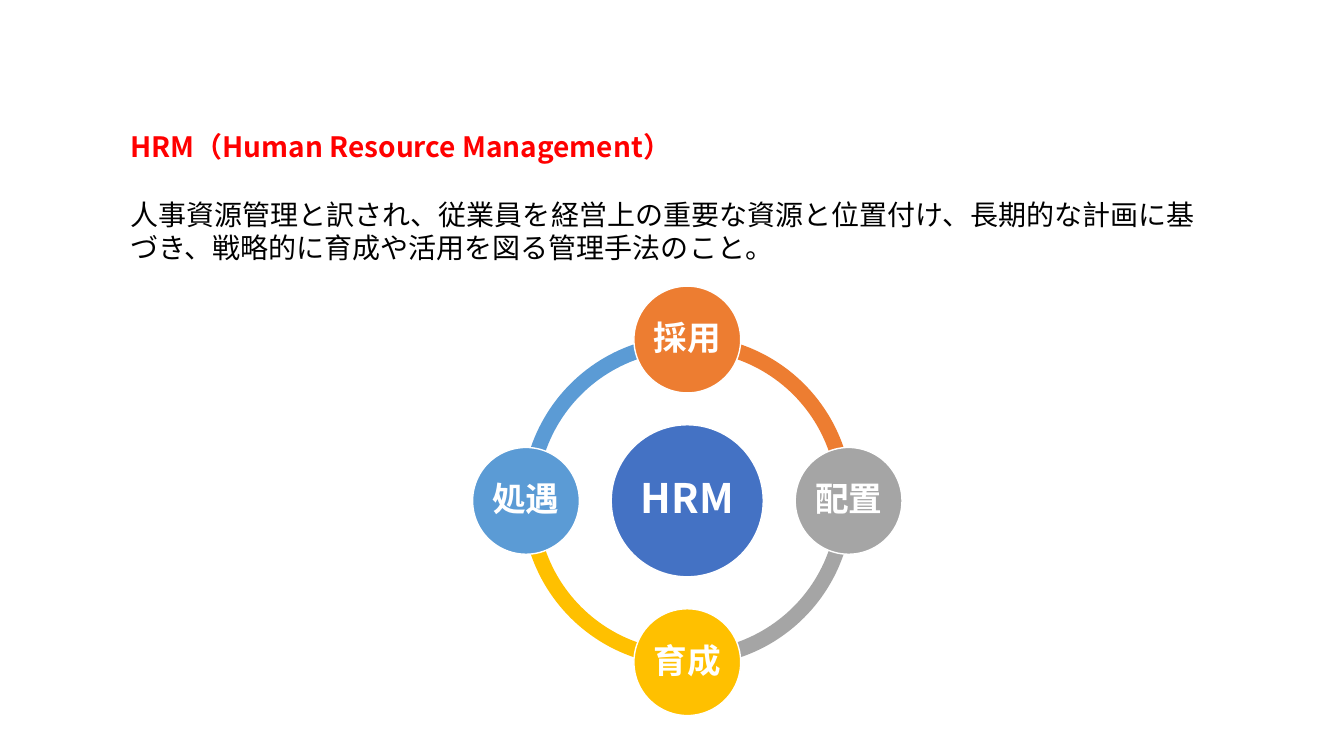
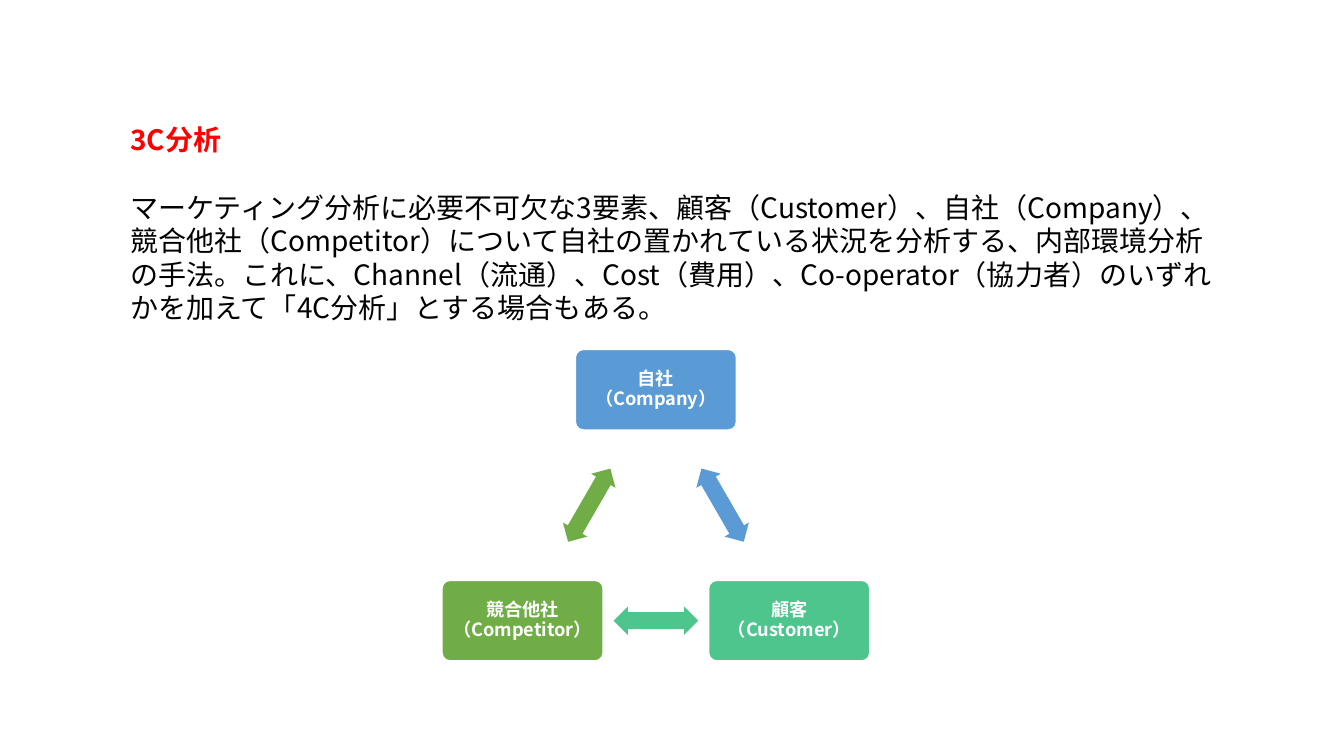
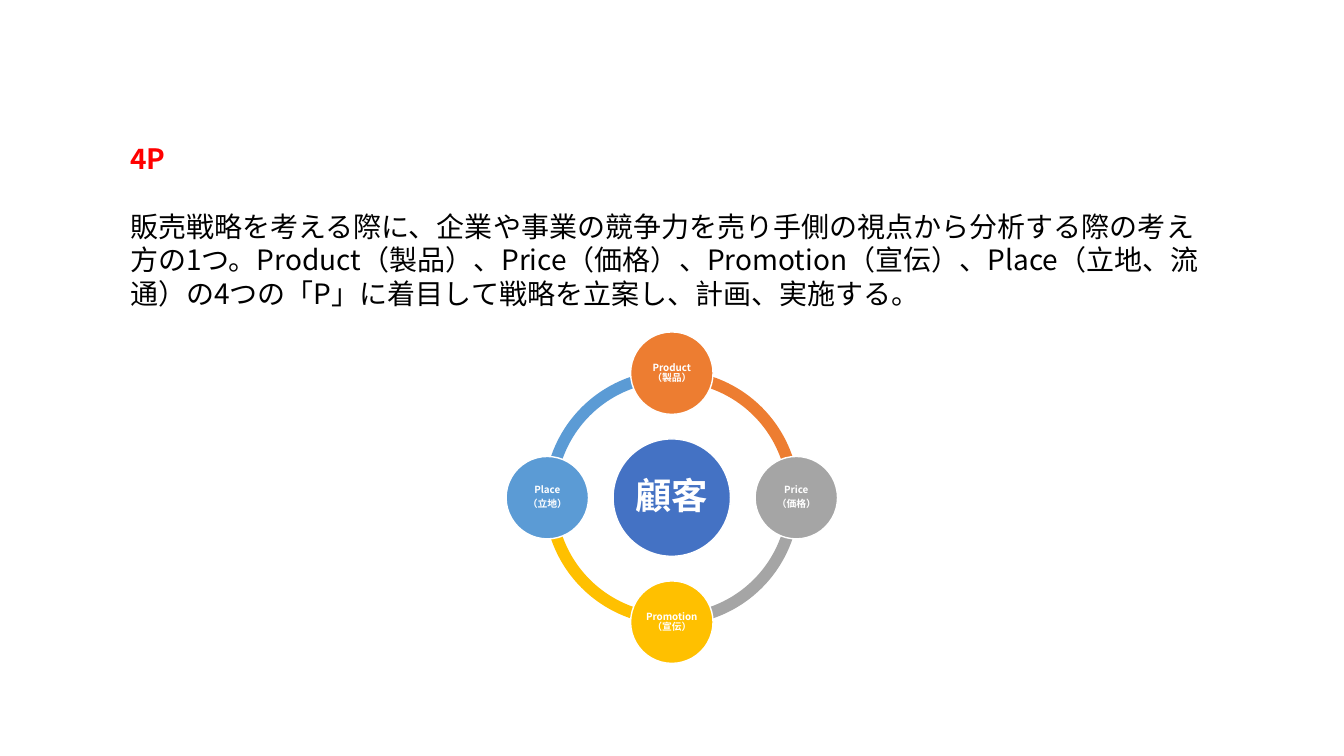
import math

from pptx import Presentation
from pptx import util as u
from pptx.dml.color import RGBColor
from pptx.enum import shapes, text
from pptx.oxml.ns import qn
from lxml import etree

FONT = "Noto Sans CJK JP"
RED, BLACK, WHITE = "FF0000", "000000", "FFFFFF"
NAVY, ORANGE, GRAY, YELLOW, BLUE = "4472C4", "ED7D31", "A5A5A5", "FFC000", "5B9BD5"
MINT, GREEN = "4DC58D", "70AD47"
SHAPE = shapes.MSO_SHAPE


def color(value):
    return RGBColor.from_string(value)


def write(frame, content, size=20, fill=BLACK, bold=False, align=None, spacing=None, before=0, after=0, add=False):
    for index, line in enumerate(content.split("\n")):
        paragraph = frame.add_paragraph() if add or index else frame.paragraphs[0]
        paragraph.alignment = align
        paragraph.line_spacing = spacing
        paragraph.space_before = u.Pt(before)
        paragraph.space_after = u.Pt(after)
        run = paragraph.add_run()
        run.text = line
        run.font.size = u.Pt(size)
        run.font.bold = bold
        run.font.name = FONT
        run.font.color.rgb = color(fill)
        east_asian = etree.SubElement(run.font._element, qn("a:ea"))
        east_asian.set("typeface", FONT)


class Deck:
    def __init__(self):
        self.presentation = Presentation()
        self.presentation.slide_width = u.Cm(33.87)
        self.presentation.slide_height = u.Cm(19.05)
        self.slide = None

    def explain(self, top, height, heading, body):
        self.slide = self.presentation.slides.add_slide(self.presentation.slide_layouts[6])
        box = self.slide.shapes.add_textbox(u.Cm(3.03), u.Cm(top), u.Cm(27.81), u.Cm(height))
        frame = box.text_frame
        frame.word_wrap = True
        write(frame, heading, fill=RED, bold=True, spacing=u.Pt(24))
        write(frame, body, spacing=u.Pt(24), before=24, add=True)

    def shape(self, kind, x, y, width, height, fill, adjustments=(), outlined=False, rotation=0):
        shape = self.slide.shapes.add_shape(
            kind, u.Cm(x - width / 2), u.Cm(y - height / 2), u.Cm(width), u.Cm(height))
        shape.shadow.inherit = False
        shape.rotation = rotation
        for index, value in enumerate(adjustments):
            shape.adjustments[index] = value
        shape.fill.solid()
        shape.fill.fore_color.rgb = color(fill)
        if outlined:
            shape.line.color.rgb = color(WHITE)
            shape.line.width = u.Pt(1)
        else:
            shape.line.fill.background()
        return shape

    def label(self, shape, content, size, inset):
        frame = shape.text_frame
        frame.word_wrap = True
        frame.vertical_anchor = text.MSO_ANCHOR.MIDDLE
        frame.margin_left = frame.margin_right = u.Cm(inset)
        frame.margin_top = frame.margin_bottom = u.Cm(inset)
        write(frame, content, size, WHITE, True, text.PP_ALIGN.CENTER, 0.9, after=size * 0.35)

    def circle(self, x, y, diameter, fill, content, size, inset):
        circle = self.shape(SHAPE.OVAL, x, y, diameter, diameter, fill, outlined=True)
        self.label(circle, content, size, inset)

    def wheel(self, x, y, diameter, hub, hub_size, nodes, node_size, node_inset):
        colors = (ORANGE, GRAY, YELLOW, BLUE)
        for index, fill in enumerate(colors):
            start = (162 + 54 * index) % 216
            self.shape(SHAPE.BLOCK_ARC, x, y, diameter, diameter, fill, (start, (start + 54) % 216, 0.046))
        self.circle(x, y, diameter * 0.46, NAVY, hub, hub_size, 0.1)
        orbit = diameter * 0.488
        for index, (fill, content) in enumerate(zip(colors, nodes)):
            angle = math.pi / 2 * index
            self.circle(x + orbit * math.sin(angle), y - orbit * math.cos(angle),
                        diameter * 0.323, fill, content, node_size, node_inset)

    def triangle(self, x, top, bottom, half_base, nodes):
        corners = ((x, top), (x + half_base, bottom), (x - half_base, bottom))
        for index, (fill, content) in enumerate(nodes):
            corner, following = corners[index], corners[(index + 1) % 3]
            box = self.shape(SHAPE.ROUNDED_RECTANGLE, *corner, 4.06, 2.03, fill, (0.1,), True)
            self.label(box, content, 13, 0.13)
            self.shape(SHAPE.LEFT_RIGHT_ARROW, (corner[0] + following[0]) / 2, (corner[1] + following[1]) / 2,
                       2.13, 0.71, fill, (0.6, 0.5), rotation=60 + 120 * index)


def main():
    deck = Deck()

    deck.explain(3.15, 3.68, "HRM（Human Resource Management）",
                 "人事資源管理と訳され、従業員を経営上の重要な資源と位置付け、長期的な計画に基づき、"
                 "戦略的に育成や活用を図る管理手法のこと。")
    deck.wheel(17.32, 12.62, 8.33, "HRM", 29, ("採用", "配置", "育成", "処遇"), 24, 0.08)

    deck.explain(2.97, 5.38, "3C分析",
                 "マーケティング分析に必要不可欠な3要素、顧客（Customer）、自社（Company）、"
                 "競合他社（Competitor）について自社の置かれている状況を分析する、内部環境分析の手法。"
                 "これに、Channel（流通）、Cost（費用）、Co-operator（協力者）のいずれかを加えて"
                 "「4C分析」とする場合もある。")
    deck.triangle(16.53, 9.82, 15.64, 3.36, (
        (BLUE, "自社（Company）"), (MINT, "顧客（Customer）"), (GREEN, "競合他社（Competitor）")))

    deck.explain(3.45, 4.52, "4P",
                 "販売戦略を考える際に、企業や事業の競争力を売り手側の視点から分析する際の考え方の1つ。"
                 "Product（製品）、Price（価格）、Promotion（宣伝）、Place（立地、流通）の4つの"
                 "「P」に着目して戦略を立案し、計画、実施する。")
    deck.wheel(16.93, 12.54, 6.43, "顧客", 26,
               ("Product（製品）", "Price\n（価格）", "Promotion（宣伝）", "Place\n（立地）"), 7, 0.03)

    deck.presentation.save("out.pptx")


if __name__ == "__main__":
    main()
